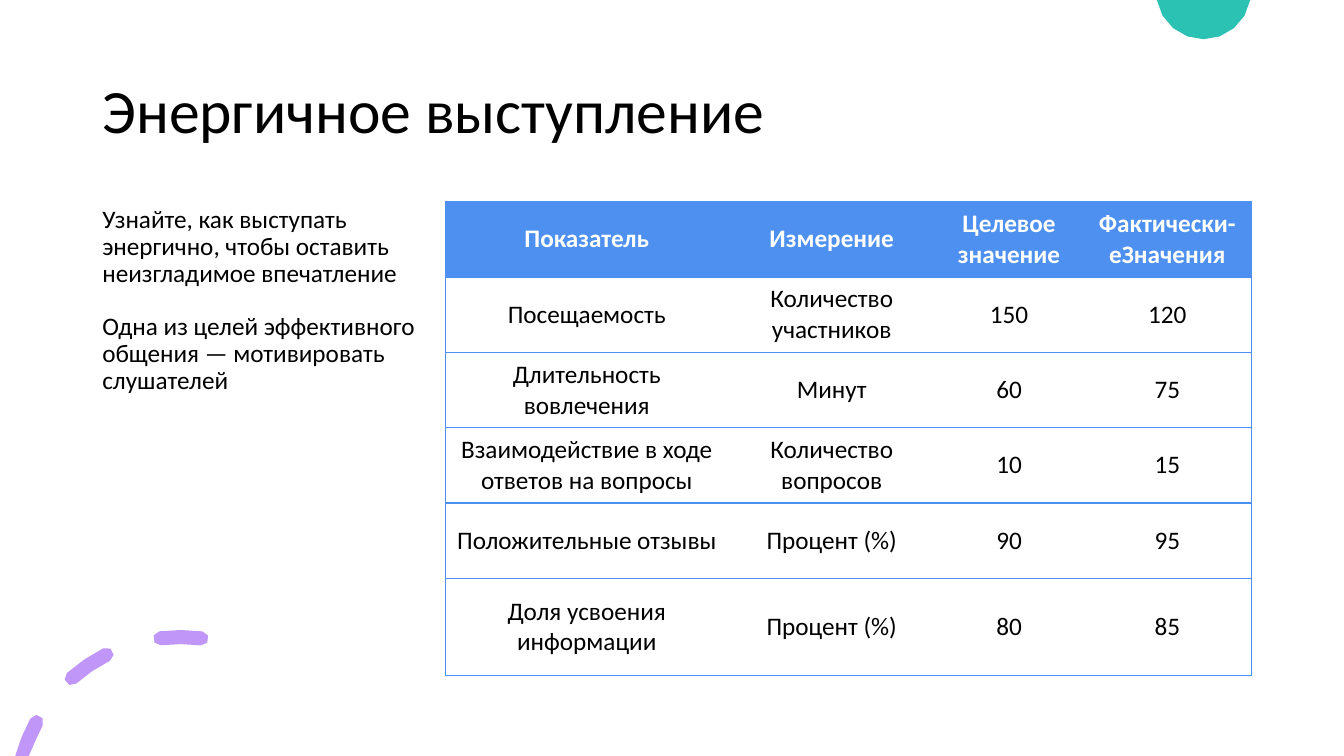
from dataclasses import dataclass
from math import cos, radians, sin

from lxml.etree import SubElement
from pptx import Presentation
from pptx.dml.color import RGBColor
from pptx.enum.text import MSO_ANCHOR, PP_ALIGN
from pptx.oxml.ns import qn
from pptx.slide import Slide
from pptx.table import _Cell
from pptx.text.text import _Paragraph
from pptx.util import Inches, Pt

BLACK = RGBColor(0x00, 0x00, 0x00)
WHITE = RGBColor(0xFF, 0xFF, 0xFF)
BLUE = RGBColor(0x4D, 0x90, 0xEF)
PURPLE = RGBColor(0xC0, 0x97, 0xF8)
TEAL = RGBColor(0x2B, 0xC2, 0xB4)
FONT = "Calibri"
SLIDE_WIDTH, SLIDE_HEIGHT = 40 / 3, 7.5
CONTENT_WIDTH = 11.5
MARGIN = (SLIDE_WIDTH - CONTENT_WIDTH) / 2
BODY_TOP, BODY_HEIGHT = 2, 4.7

Point = tuple[float, float]


@dataclass(frozen=True)
class Arc:
    x: float
    y: float
    radius: float
    start: float
    end: float

    def point(self, angle: float) -> Point:
        turn = radians(angle)
        return self.x + self.radius * sin(turn), self.y - self.radius * cos(turn)

    def points(self, steps: int) -> list[Point]:
        sweep = self.end - self.start
        return [self.point(self.start + sweep * i / steps) for i in range(steps)]


@dataclass(frozen=True)
class Dash:
    start: float
    end: float

    def outline(self) -> list[Point]:
        x, y, radius, half = 1.79, 7.95, 1.63, 0.07
        middle = Arc(x, y, radius, self.start, self.end)
        return (
            Arc(x, y, radius + half, self.start, self.end).points(2)
            + Arc(*middle.point(self.end), half, self.end, self.end + 180).points(3)
            + Arc(x, y, radius - half, self.end, self.start).points(2)
            + Arc(*middle.point(self.start), half, self.start + 180, self.start + 360).points(3)
        )


@dataclass(frozen=True)
class Metric:
    name: str
    unit: str
    target: str
    actual: str

    def texts(self) -> tuple[str, ...]:
        return self.name, self.unit, self.target, self.actual


TITLE = "Энергичное выступление"
ADVICE = (
    "Узнайте, как выступать энергично, чтобы оставить неизгладимое впечатление",
    "Одна из целей эффективного общения — мотивировать слушателей",
)
METRICS = (
    Metric("Показатель", "Измерение", "Целевое значение", "Фактически-еЗначения"),
    Metric("Посещаемость", "Количество участников", "150", "120"),
    Metric("Длительность вовлечения", "Минут", "60", "75"),
    Metric("Взаимодействие в ходе ответов на вопросы", "Количество вопросов", "10", "15"),
    Metric("Положительные отзывы", "Процент (%)", "90", "95"),
    Metric("Доля усвоения информации", "Процент (%)", "80", "85"),
)
COLUMN_WIDTHS = (2.81, 2.05, 1.47, 1.67)
LAST_ROW_HEIGHT = 0.96
ROW_HEIGHTS = ((BODY_HEIGHT - LAST_ROW_HEIGHT) / 5,) * 5 + (LAST_ROW_HEIGHT,)
DASHES = (Dash(-74.65, -61.1), Dash(-41.5, -26.7), Dash(-7.1, 7.4))
DISC = Arc(11.94, -0.08, 0.47, 100, 280)


def add_outline(slide: Slide, contours: list[list[Point]], color: RGBColor) -> None:
    scaled = [
        [(Inches(x), Inches(min(max(y, 0), SLIDE_HEIGHT))) for x, y in contour]
        for contour in contours
    ]
    builder = slide.shapes.build_freeform(*scaled[0][0])
    for index, contour in enumerate(scaled):
        if index:
            builder.move_to(*contour[0])
        builder.add_line_segments(contour[1:], close=True)
    ornament = builder.convert_to_shape()
    ornament.fill.solid()
    ornament.fill.fore_color.rgb = color
    ornament.line.fill.background()
    ornament.shadow.inherit = False


def add_run(paragraph: _Paragraph, text: str, size: float, color: RGBColor,
            bold: bool = False) -> None:
    run = paragraph.add_run()
    run.text = text
    run.font.name = FONT
    run.font.size = Pt(size)
    run.font.bold = bold
    run.font.color.rgb = color


def set_borders(cell: _Cell, first: bool, last: bool) -> None:
    properties = cell._tc.get_or_add_tcPr()
    for side, shown in (("L", first), ("R", last), ("T", True), ("B", True)):
        line = SubElement(properties, qn(f"a:ln{side}"), w=str(Pt(1)))
        if shown:
            fill = SubElement(line, qn("a:solidFill"))
            SubElement(fill, qn("a:srgbClr"), val=str(BLUE))
        else:
            SubElement(line, qn("a:noFill"))


def add_title(slide: Slide) -> None:
    title = slide.shapes.title
    title.left, title.top = Inches(MARGIN), Inches(0.4)
    title.width, title.height = Inches(CONTENT_WIDTH), Inches(1.45)
    title.text_frame.vertical_anchor = MSO_ANCHOR.MIDDLE
    paragraph = title.text_frame.paragraphs[0]
    paragraph.alignment = PP_ALIGN.LEFT
    paragraph.line_spacing = 0.9
    add_run(paragraph, TITLE, 44, BLACK)


def add_advice(slide: Slide) -> None:
    advice = slide.shapes.add_textbox(
        Inches(MARGIN), Inches(BODY_TOP), Inches(3.35), Inches(BODY_HEIGHT))
    frame = advice.text_frame
    frame.word_wrap = True
    for index, text in enumerate(ADVICE):
        paragraph = frame.add_paragraph() if index else frame.paragraphs[0]
        paragraph.line_spacing = 0.9
        paragraph.space_before, paragraph.space_after = Pt(10), Pt(8)
        add_run(paragraph, text, 18, BLACK)


def add_metrics(slide: Slide) -> None:
    width = sum(COLUMN_WIDTHS)
    table = slide.shapes.add_table(
        len(METRICS), len(COLUMN_WIDTHS), Inches(MARGIN + CONTENT_WIDTH - width),
        Inches(BODY_TOP), Inches(width), Inches(BODY_HEIGHT),
    ).table
    table.horz_banding = False
    for column, column_width in zip(table.columns, COLUMN_WIDTHS):
        column.width = Inches(column_width)
    for row_index, (metric, height) in enumerate(zip(METRICS, ROW_HEIGHTS)):
        table.rows[row_index].height = Inches(height)
        header = row_index == 0
        for column_index, text in enumerate(metric.texts()):
            cell = table.cell(row_index, column_index)
            set_borders(cell, column_index == 0, column_index == len(COLUMN_WIDTHS) - 1)
            if header:
                cell.fill.solid()
                cell.fill.fore_color.rgb = BLUE
            else:
                cell.fill.background()
            cell.vertical_anchor = MSO_ANCHOR.MIDDLE
            paragraph = cell.text_frame.paragraphs[0]
            paragraph.alignment = PP_ALIGN.CENTER
            add_run(paragraph, text, 18, WHITE if header else BLACK, header)


def main() -> None:
    presentation = Presentation()
    presentation.slide_width = Inches(SLIDE_WIDTH)
    presentation.slide_height = Inches(SLIDE_HEIGHT)
    slide = presentation.slides.add_slide(presentation.slide_layouts[5])
    add_outline(slide, [dash.outline() for dash in DASHES], PURPLE)
    add_outline(slide, [DISC.points(9)], TEAL)
    add_title(slide)
    add_advice(slide)
    add_metrics(slide)
    presentation.save("out.pptx")


if __name__ == "__main__":
    main()
